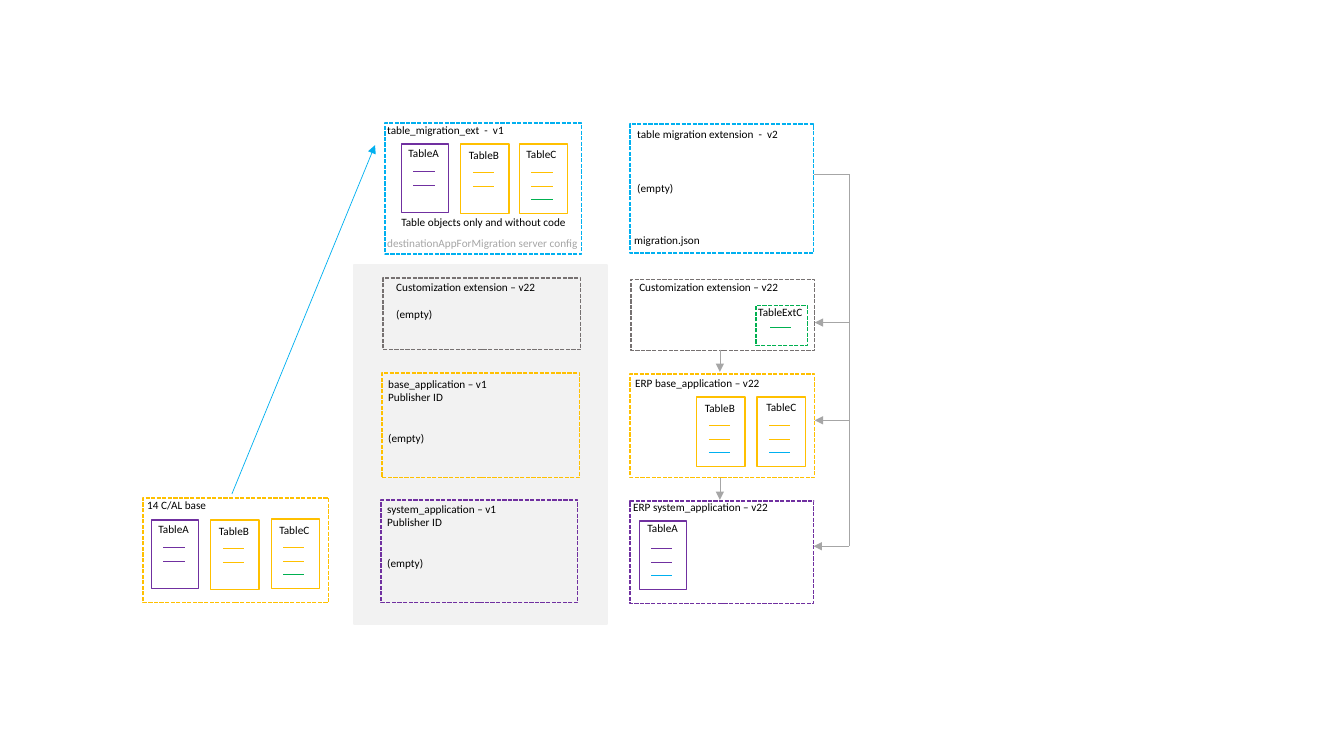
from dataclasses import dataclass

from lxml import etree
from pptx import Presentation
from pptx import util as u
from pptx.dml.color import RGBColor
from pptx.enum import dml, shapes, text
from pptx.oxml.ns import qn

PX = 9144
LINE = 9.75
FONT = "Calibri"
INK = {
    "black": "000000", "panel": "F2F2F2", "gold": "FFC000", "purple": "7030A0",
    "blue": "00B0F0", "green": "00B050", "slate": "767171", "grey": "A6A6A6",
}


@dataclass(frozen=True)
class Box:
    x: int
    y: int
    w: int
    h: int
    ink: str
    dash: bool = True
    fill: str = ""


@dataclass(frozen=True)
class Card:
    name: str
    x: int
    y: int
    dx: int
    dy: int
    last: str = ""


@dataclass(frozen=True)
class Row:
    words: str
    skip: int = 0


@dataclass(frozen=True)
class Note:
    x: int
    y: int
    w: int
    rows: tuple[Row, ...]
    ink: str = "black"


@dataclass(frozen=True)
class Link:
    x1: int
    y1: int
    x2: int
    y2: int
    ink: str = "grey"
    size: float = 0.5
    arrow: bool = True


BOXES = [
    Box(351, 263, 251, 356, "panel", False, "panel"),
    Box(142, 494, 184, 104, "gold"),
    Box(382, 122, 195, 130, "blue"),
    Box(380, 276, 196, 71, "slate"),
    Box(379, 370, 196, 104, "gold"),
    Box(378, 496, 195, 102, "purple"),
    Box(625, 123, 182, 128, "blue"),
    Box(626, 277, 182, 71, "slate"),
    Box(750, 303, 51, 40, "green"),
    Box(625, 371, 183, 103, "gold"),
    Box(625, 497, 182, 102, "purple"),
]

CARDS = [
    Card("TableA", 150, 516, 3, -2),
    Card("TableB", 209, 516, 4, 0),
    Card("TableC", 269, 515, 4, 0, "green"),
    Card("TableA", 398, 143, 3, -2),
    Card("TableB", 457, 143, 4, 0),
    Card("TableC", 515, 143, 3, -1, "green"),
    Card("TableB", 691, 394, 4, 0, "blue"),
    Card("TableC", 751, 394, 5, -1, "blue"),
    Card("TableA", 634, 517, 4, -4, "blue"),
]

MAKER = Row("Publisher ID")
NOTES = [
    Note(142, 490, 175, (Row("14 C/AL base"),)),
    Note(380, 118, 182, (Row("table_migration_ext  -  v1"),)),
    Note(394, 210, 190, (Row("Table objects only and without code"),)),
    Note(380, 230, 215, (Row("destinationAppForMigration server config"),), "grey"),
    Note(389, 274, 163, (Row("Customization extension – v22"), Row("(empty)", 1))),
    Note(381, 370, 170, (Row("base_application – v1"), MAKER, Row("(empty)", 2))),
    Note(380, 494, 157, (Row("system_application – v1"), MAKER, Row("(empty)", 2))),
    Note(628, 122, 182, (Row("table migration extension  -  v2"), Row("(empty)", 3))),
    Note(625, 227, 105, (Row("migration.json"),)),
    Note(630, 274, 155, (Row("Customization extension – v22"),)),
    Note(748, 299, 56, (Row("TableExtC"),)),
    Note(626, 369, 160, (Row("ERP base_application – v22"),)),
    Note(624, 492, 160, (Row("ERP system_application – v22"),)),
]

TRUNK = 842
LINKS = [
    Link(230, 490, 372, 144, "blue"),
    Link(714, 347, 714, 369),
    Link(714, 474, 714, 496),
    Link(TRUNK, 173, 807, 173, arrow=False),
    Link(TRUNK, 542, TRUNK, 173, arrow=False),
    Link(TRUNK, 320, 808, 320),
    Link(TRUNK, 417, 808, 417),
    Link(TRUNK, 542, 807, 542),
]


def tint(name: str) -> RGBColor:
    return RGBColor.from_string(INK[name])


def draw_box(slide, box: Box) -> None:
    rect = slide.shapes.add_shape(
        shapes.MSO_SHAPE.RECTANGLE, box.x * PX, box.y * PX, box.w * PX, box.h * PX)
    rect.shadow.inherit = False
    if box.fill:
        rect.fill.solid()
        rect.fill.fore_color.rgb = tint(box.fill)
    else:
        rect.fill.background()
    rect.line.color.rgb = tint(box.ink)
    rect.line.width = u.Pt(1)
    if box.dash:
        rect.line.dash_style = dml.MSO_LINE.SQUARE_DOT


def draw_link(slide, link: Link) -> None:
    line = slide.shapes.add_connector(
        shapes.MSO_CONNECTOR.STRAIGHT,
        link.x1 * PX, link.y1 * PX, link.x2 * PX, link.y2 * PX)
    line.line.color.rgb = tint(link.ink)
    line.line.width = u.Pt(link.size)
    props = line._element.spPr
    if link.arrow:
        etree.SubElement(props.find(qn("a:ln")), qn("a:tailEnd"), type="triangle")
    etree.SubElement(props, qn("a:effectLst"))


def draw_note(slide, note: Note) -> None:
    lines = sum(1 + row.skip for row in note.rows)
    box = slide.shapes.add_textbox(
        note.x * PX, note.y * PX, note.w * PX, u.Pt(lines * LINE) + 8 * PX)
    frame = box.text_frame
    frame.word_wrap = True
    frame.vertical_anchor = text.MSO_ANCHOR.TOP
    frame.margin_left = frame.margin_right = 4 * PX
    frame.margin_top = frame.margin_bottom = 4 * PX
    for i, row in enumerate(note.rows):
        para = frame.add_paragraph() if i else frame.paragraphs[0]
        para.text = row.words
        para.font.name = FONT
        para.font.size = u.Pt(8)
        para.font.color.rgb = tint(note.ink)
        if row.skip:
            para.space_before = u.Pt(row.skip * LINE)


def draw_mark(slide, x: int, y: int, ink: str) -> None:
    draw_link(slide, Link(x, y, x + 21, y, ink, 1, False))


def draw_card(slide, card: Card) -> None:
    w, h, ink = (47, 68, "purple") if card.name == "TableA" else (48, 69, "gold")
    draw_box(slide, Box(card.x, card.y, w, h, ink, False))
    for drop, hue in ((41, ink), (27, ink), (14, card.last)):
        if hue:
            draw_mark(slide, card.x + 12, card.y + h - drop, hue)
    draw_note(slide, Note(card.x + card.dx, card.y + card.dy, 45, (Row(card.name),)))


def main() -> None:
    deck = Presentation()
    deck.slide_width, deck.slide_height = 1333 * PX, 750 * PX
    slide = deck.slides.add_slide(deck.slide_layouts[6])
    for box in BOXES:
        draw_box(slide, box)
    for card in CARDS:
        draw_card(slide, card)
    draw_mark(slide, 764, 325, "green")
    for note in NOTES:
        draw_note(slide, note)
    for link in LINKS:
        draw_link(slide, link)
    deck.save("out.pptx")


if __name__ == "__main__":
    main()
